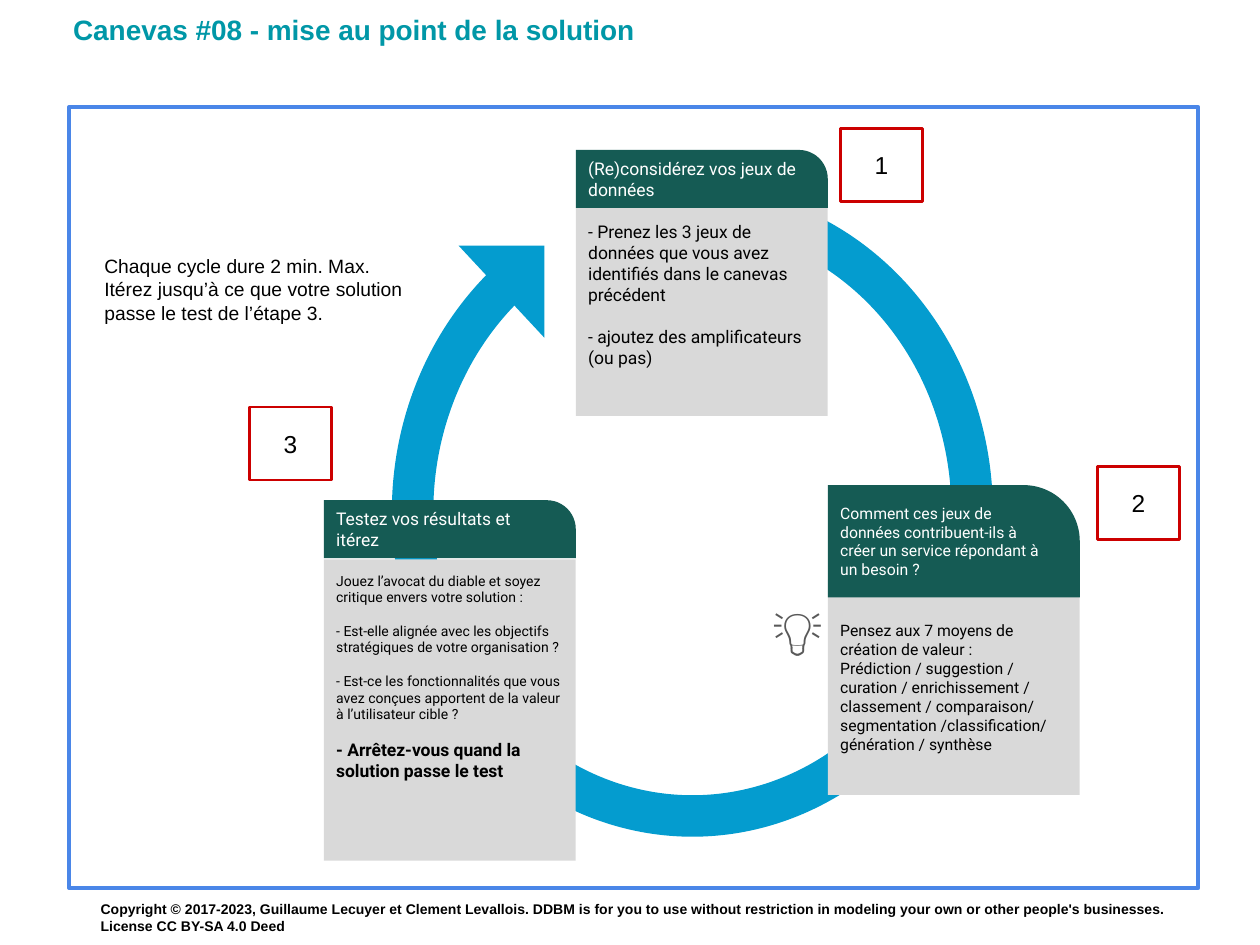
from pptx import Presentation
from pptx.util import Pt
from pptx.dml.color import RGBColor
from pptx.enum.shapes import MSO_SHAPE as Kind
from pptx.enum.text import MSO_ANCHOR as Anchor, PP_ALIGN as Align, MSO_AUTO_SIZE as Fit

PX = 9144  # 100 px to the inch
TEAL, BLUE, DARK, GREY, RED = "0097A7", "049CCF", "155B54", "D9D9D9", "CC0000"
FRAME, BLACK, WHITE, ASH = "4A86E8", "000000", "FFFFFF", "595959"
SANS, BODY = "Arial", "Roboto"


def color(code):
    return RGBColor.from_string(code)


class Deck:
    def __init__(self, wide, high):
        self.prs = Presentation()
        self.prs.slide_width, self.prs.slide_height = wide * PX, high * PX
        self.slide = self.prs.slides.add_slide(self.prs.slide_layouts[5])

    def label(self, shape, paras, font, size, ink, bold=False,
              anchor=Anchor.TOP, align=Align.LEFT, fit=Fit.NONE):
        """Each paragraph is a text, or (text, gap before, size, bold)."""
        frame = shape.text_frame
        frame.word_wrap, frame.auto_size = True, fit
        frame.vertical_anchor = anchor
        frame.margin_left = frame.margin_right = 10 * PX
        frame.margin_top = frame.margin_bottom = 10 * PX
        for i, item in enumerate(paras):
            text, gap, pts, heavy = (item, 0, size, bold) if isinstance(item, str) else item
            para = frame.add_paragraph() if i else frame.paragraphs[0]
            para.alignment = align
            if gap:
                para.space_before = Pt(gap)
            run = para.add_run()
            run.text = text
            run.font.name, run.font.size, run.font.bold = font, Pt(pts), heavy
            run.font.color.rgb = color(ink)

    def title(self, at, text):
        shape = self.slide.shapes.title
        shape.left, shape.top, shape.width, shape.height = (n * PX for n in at)
        self.label(shape, [text], SANS, 16, TEAL, True)

    def text(self, at, text, size, ink=BLACK, **look):
        shape = self.slide.shapes.add_textbox(*(n * PX for n in at))
        self.label(shape, [text], SANS, size, ink, **look)

    def shape(self, kind, at, fill=None, line=None, width=1.5, adj=(), turn=0):
        shape = self.slide.shapes.add_shape(kind, *(n * PX for n in at))
        shape.shadow.inherit = False
        shape.rotation = turn
        for i, value in enumerate(adj):
            shape.adjustments[i] = value
        if fill:
            shape.fill.solid()
            shape.fill.fore_color.rgb = color(fill)
        else:
            shape.fill.background()
        if line:
            shape.line.color.rgb = color(line)
            shape.line.width = Pt(width)
        else:
            shape.line.fill.background()
        return shape

    def card(self, left, top, high, body, head, paras, size, note, anchor=Anchor.TOP):
        start, end = body
        base = self.shape(Kind.RECTANGLE, (left, start, 200, end - start), GREY)
        self.label(base, paras, BODY, note, BLACK, anchor=anchor)
        cap = self.shape(Kind.ROUND_1_RECTANGLE, (left, top, 200, high), DARK, adj=[0.5])
        self.label(cap, [head], BODY, size, WHITE, anchor=Anchor.MIDDLE)

    def badge(self, left, top, text):
        box = self.shape(Kind.RECTANGLE, (left, top, 65, 58), line=RED)
        self.label(box, [text], SANS, 14, BLACK, anchor=Anchor.MIDDLE, align=Align.CENTER)


def main():
    deck = Deck(1000, 750)

    # Frame and title
    deck.shape(Kind.RECTANGLE, (55, 85, 896, 620), line=FRAME, width=2.25)
    deck.title((48, 0, 541, 74), "Canevas #08 - mise au point de la solution")

    # Cycle arrow
    deck.shape(Kind.BLOCK_ARC, (311, 148, 477, 516), BLUE, adj=[53.998, 30.127, 0.069], turn=180)
    deck.shape(Kind.RIGHT_TRIANGLE, (364, 195, 68, 73), BLUE, turn=180)

    # Step cards
    deck.card(657, 385, 89, (460, 631),
              "Comment ces jeux de données contribuent-ils à créer un service répondant à un besoin ?",
              ["Pensez aux 7 moyens de création de valeur :",
               "Prédiction / suggestion / curation / enrichissement / classement / "
               "comparaison/ segmentation /classification/ génération / synthèse"],
              9, 9, Anchor.MIDDLE)
    deck.card(457, 119, 46, (165, 330), "(Re)considérez vos jeux de données",
              ["- Prenez les 3 jeux de données que vous avez identifiés dans le canevas précédent",
               ("- ajoutez des amplificateurs (ou pas)", 12, 10, False)],
              10, 10)
    deck.card(257, 397, 46, (444, 683), "Testez vos résultats et itérez",
              ["Jouez l’avocat du diable et soyez critique envers votre solution :",
               ("- Est-elle alignée avec les objectifs stratégiques de votre organisation ?",
                9.5, 8, False),
               ("- Est-ce les fonctionnalités que vous avez conçues apportent de la valeur "
                "à l’utilisateur cible ?", 9.5, 8, False),
               ("- Arrêtez-vous quand la solution passe le test", 9.5, 10, True)],
              10, 8)

    # Cycle note
    deck.text((73, 192, 263, 101), "Chaque cycle dure 2 min. Max. Itérez jusqu’à ce que "
              "votre solution passe le test de l’étape 3.", 11)

    # Step numbers
    for num, (left, top) in enumerate([(667, 102), (871, 370), (198, 323)], 1):
        deck.badge(left, top, str(num))

    # Footer and hint
    deck.text((70, 713, 896, 30), "Copyright © 2017-2023, Guillaume Lecuyer et Clement Levallois. "
              "DDBM is for you to use without restriction in modeling your own or other people's "
              "businesses. License CC BY-SA 4.0 Deed", 8, bold=True, anchor=Anchor.MIDDLE)
    deck.text((603, 466, 65, 67), "💡", 28, ASH, fit=Fit.SHAPE_TO_FIT_TEXT)

    deck.prs.save("out.pptx")


if __name__ == "__main__":
    main()
